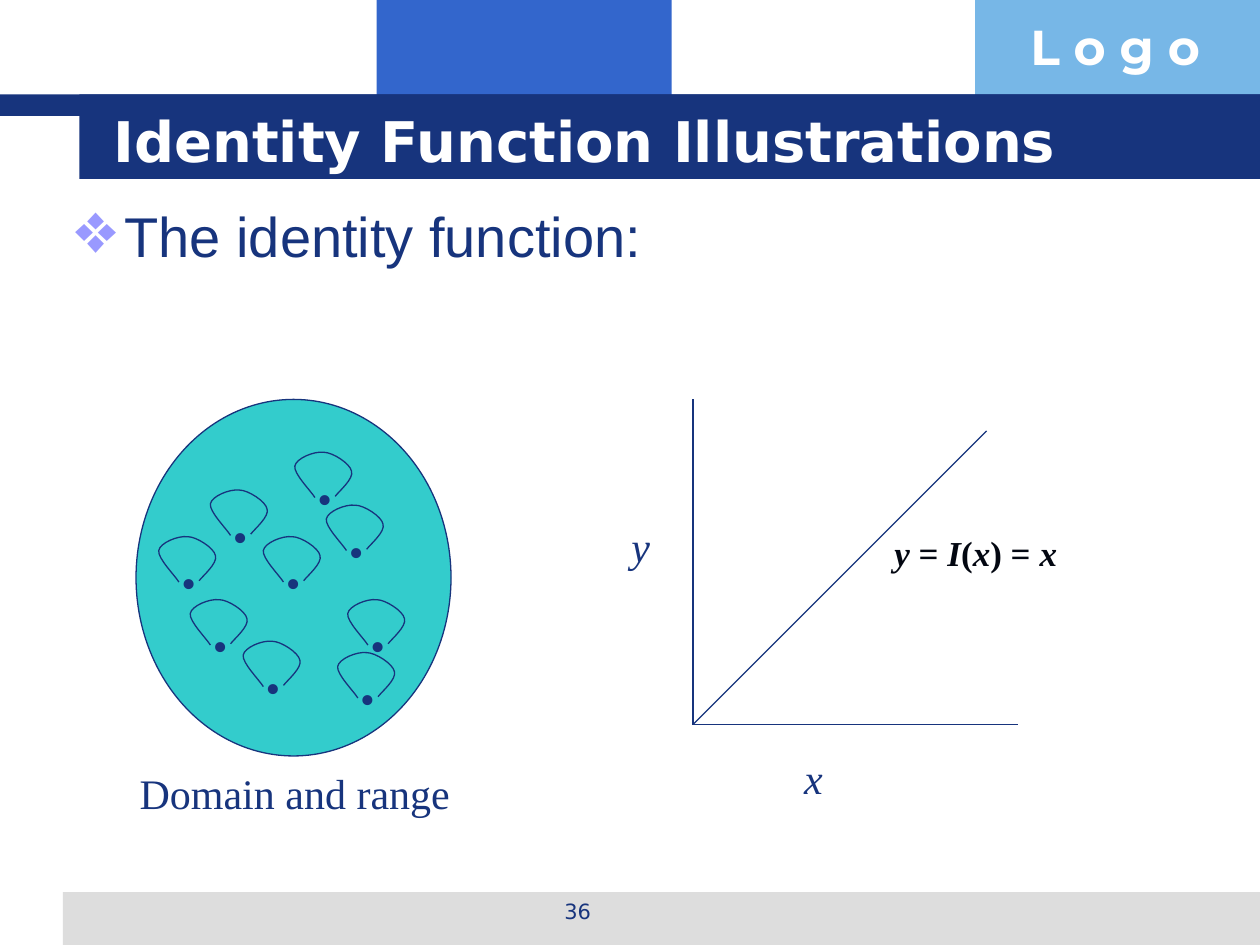
from pptx import Presentation
from pptx.dml.color import RGBColor
from pptx.enum.shapes import MSO_CONNECTOR, MSO_SHAPE
from pptx.enum.text import MSO_ANCHOR, PP_ALIGN
from pptx.oxml.ns import qn
from pptx.util import Inches, Pt
from lxml import etree

RECT, OVAL = MSO_SHAPE.RECTANGLE, MSO_SHAPE.OVAL
LINE = MSO_CONNECTOR.STRAIGHT
LEFT, MID = PP_ALIGN.LEFT, PP_ALIGN.CENTER
TOP, CENTER = MSO_ANCHOR.TOP, MSO_ANCHOR.MIDDLE
NAVY, WHITE, INK = "17347D", "FFFFFF", "030711"
SERIF = "Times New Roman"

CURVE = [
    (0.33, 0.36),
    (0.36, 0.32), (0.48, 0.22), (0.46, 0.16),
    (0.45, 0.10), (0.31, 0.01), (0.24, 0.01),
    (0.16, 0.00), (0.02, 0.06), (0.01, 0.12),
    (0.00, 0.18), (0.14, 0.32), (0.17, 0.37),
]
LOOPS = [
    (0.58, 0.71), (1.00, 1.08), (1.59, 2.00), (1.67, 1.58), (1.50, 0.83),
    (1.25, 0.41), (0.84, 1.91), (0.42, 1.58), (0.17, 1.08),
]


def color(code):
    return RGBColor.from_string(code)


def edge(shape):
    shape.line.color.rgb = color(NAVY)
    shape.line.width = Pt(0.75)


def box(part, kind, x, y, w, h, fill, lined=False):
    shape = part.shapes.add_shape(
        kind, Inches(x), Inches(y), Inches(w), Inches(h))
    shape.shadow.inherit = False
    shape.fill.solid()
    shape.fill.fore_color.rgb = color(fill)
    if lined:
        edge(shape)
    else:
        shape.line.fill.background()


def write(shape, text, size=24, font=SERIF, ink=NAVY, bold=False,
          slant=False, align=LEFT, anchor=TOP, wrap=True, mark=None):
    frame = shape.text_frame
    frame.word_wrap = wrap
    frame.vertical_anchor = anchor
    para = frame.paragraphs[0]
    para.alignment = align
    if mark:
        add_mark(para, *mark)
    parts = [(text, slant)] if isinstance(text, str) else text
    for words, tilt in parts:
        run = para.add_run()
        run.text = words
        face = run.font
        face.name, face.size = font, Pt(size)
        face.bold, face.italic = bold, tilt
        face.color.rgb = color(ink)


def add_mark(para, sign, ink, indent, scale):
    props = para._p.get_or_add_pPr()
    props.set("marL", str(Inches(indent)))
    props.set("indent", str(-Inches(indent)))
    tint = etree.SubElement(props, qn("a:buClr"))
    etree.SubElement(tint, qn("a:srgbClr")).set("val", ink)
    etree.SubElement(props, qn("a:buSzPct")).set("val", str(scale * 1000))
    etree.SubElement(props, qn("a:buChar")).set("char", sign)


def label(part, text, x, y, w, h, **style):
    shape = part.shapes.add_textbox(
        Inches(x), Inches(y), Inches(w), Inches(h))
    write(shape, text, **style)


def tag(part, text, x, y, w, h=0.5, **style):
    label(part, text, x, y, w, h, align=MID, anchor=CENTER, wrap=False,
          **style)


def line(slide, x1, y1, x2, y2):
    stroke = slide.shapes.add_connector(
        LINE, Inches(x1), Inches(y1), Inches(x2), Inches(y2))
    edge(stroke)
    etree.SubElement(stroke._element.spPr, qn("a:effectLst"))


def bend(shape):
    route = next(shape._element.iter(qn("a:path")))
    legs = route.findall(qn("a:lnTo"))
    for first in range(0, len(legs), 3):
        arc = etree.SubElement(route, qn("a:cubicBezTo"))
        for leg in legs[first:first + 3]:
            arc.append(leg[0])
            route.remove(leg)


def loop(slide, x, y):
    group = slide.shapes.add_group_shape()
    tag(group, "•", x + 0.09, y + 0.12, 0.31)
    points = [(Inches(x + dx), Inches(y + dy)) for dx, dy in CURVE]
    form = group.shapes.build_freeform(*points[0])
    form.add_line_segments(points[1:], close=False)
    curve = form.convert_to_shape()
    bend(curve)
    curve.shadow.inherit = False
    curve.fill.background()
    edge(curve)


def header(slide, x, y, w):
    box(slide, RECT, x + 2.99, y, 2.34, 0.92, "3366CC")
    box(slide, RECT, x + 7.74, y, 2.26, 0.92, "77B7E7")
    bars = slide.shapes.add_group_shape()
    box(bars, RECT, x, y + 0.75, w, 0.17, NAVY)
    box(bars, RECT, x + 0.63, y + 0.75, w - 0.63, 0.67, NAVY)
    label(slide, "L o g o", x + 8.08, y + 0.08, 1.93, 0.57, size=28,
          font="Montserrat", ink=WHITE, bold=True)
    title = slide.shapes.title
    title.left, title.top = Inches(x + 0.8), Inches(y + 0.8)
    title.width, title.height = Inches(8.53), Inches(0.62)
    write(title, "Identity Function Illustrations", size=32,
          font="DejaVu Sans", ink=WHITE, bold=True, anchor=CENTER)
    slide.shapes._spTree.append(title._element)


def footer(slide, x, y, w, h):
    box(slide, RECT, x, y, w, h, "DDDDDD")
    label(slide, "36", x + 2.92, y, 2.33, 0.35, size=12,
          font="DejaVu Sans", align=MID)


def domain(slide, x, y, w, h):
    box(slide, OVAL, x, y, w, h, "33CCCC", lined=True)
    for dx, dy in LOOPS:
        loop(slide, x + dx, y + dy)
    tag(slide, "Domain and range", x - 0.07, y + h + 0.04, 2.66)


def graph(slide, x, y, w, h):
    base = y + h
    line(slide, x, y, x, base)
    line(slide, x, base, x + w, base)
    line(slide, x, base, x + w - 0.25, y + 0.25)
    tag(slide, "x", x + 0.78, base + 0.17, 0.35, slant=True)
    tag(slide, "y", x - 0.59, y + 0.91, 0.35, slant=True)
    rule = [("y", True), (" = ", False), ("I", True), ("(", False),
            ("x", True), (") = ", False), ("x", True)]
    label(slide, rule, x + 1.5, y + 1, 1.49, 0.44, size=20, ink=INK,
          bold=True, wrap=False)


def main():
    deck = Presentation()
    deck.slide_width, deck.slide_height = Inches(10), Inches(7.5)
    slide = deck.slides.add_slide(deck.slide_layouts[5])
    header(slide, 0, 0, 10)
    footer(slide, 0.5, 7.08, 9.5, 0.42)
    label(slide, "The identity function:", 0.5, 1.55, 9, 5.34, size=32,
          font="Arial", mark=("❖", "9999FF", 0.39, 128))
    domain(slide, 1.08, 3.17, 2.5, 2.83)
    graph(slide, 5.5, 3.17, 2.58, 2.58)
    deck.save("out.pptx")


if __name__ == "__main__":
    main()
